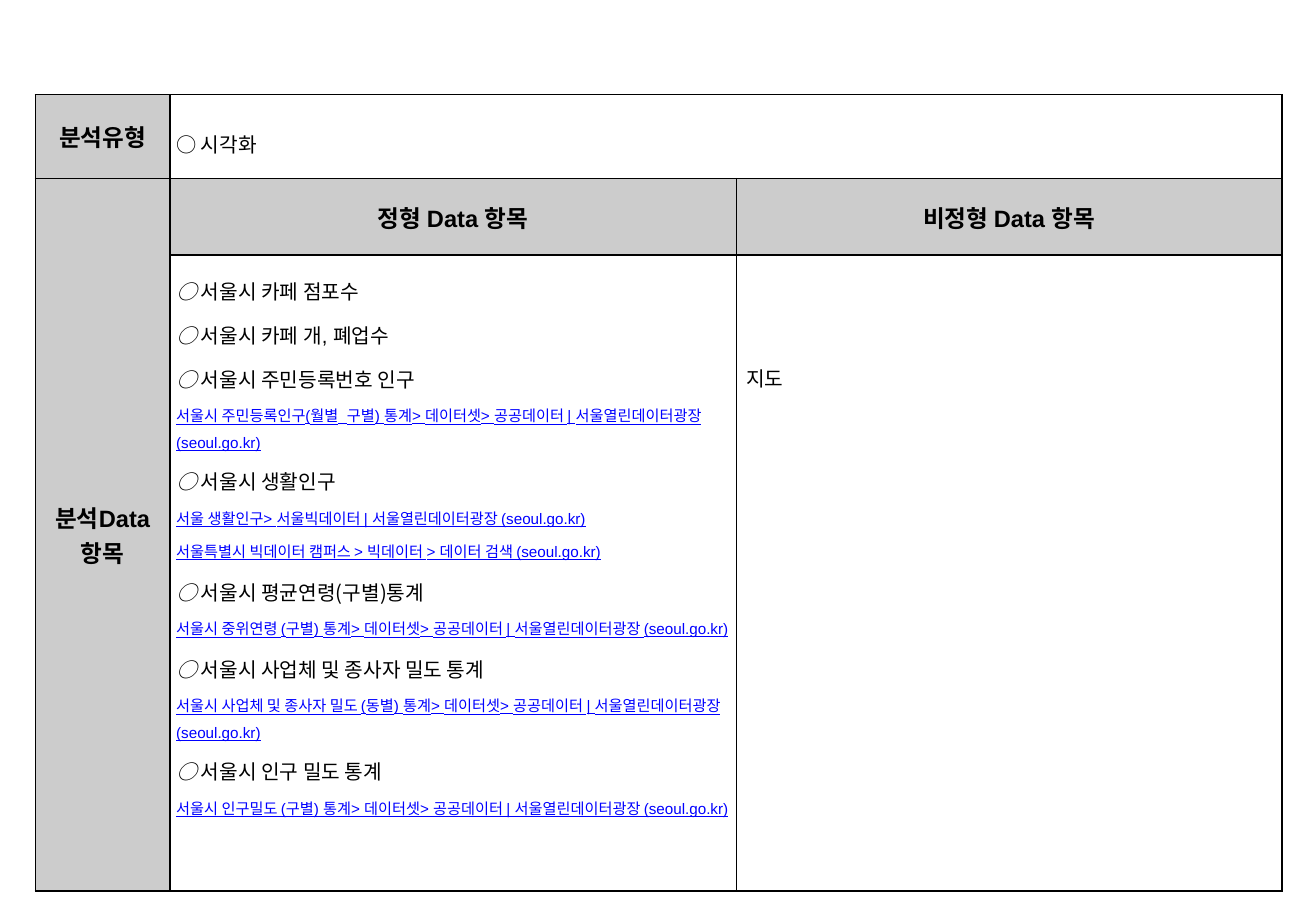
from dataclasses import dataclass

from lxml import etree
from pptx import Presentation, util as u
from pptx.dml.color import RGBColor
from pptx.enum import text as t
from pptx.oxml import ns

HUES = {"ink": "000000", "head": "CCCCCC", "link": "0000FF"}
LATIN, HANGUL = "Arial", "Noto Sans CJK KR"
PAD = 0.05
PORTAL = "통계> 데이터셋> 공공데이터 | 서울열린데이터광장 (seoul.go.kr)"


@dataclass
class Item:
    name: str
    links: tuple[str, ...] = ()
    face: str = LATIN


@dataclass
class Head:
    row: int
    col: int
    lines: tuple[str, ...]


ITEMS = [
    Item("서울시 카페 점포수"),
    Item("서울시 카페 개, 폐업수"),
    Item("서울시 주민등록번호 인구", (f"서울시 주민등록인구(월별_구별) {PORTAL}",)),
    Item("서울시 생활인구", (
        "서울 생활인구> 서울빅데이터 | 서울열린데이터광장 (seoul.go.kr)",
        "서울특별시 빅데이터 캠퍼스 > 빅데이터 > 데이터 검색 (seoul.go.kr)")),
    Item("서울시 평균연령(구별)통계", (f"서울시 중위연령 (구별) {PORTAL}",), HANGUL),
    Item("서울시 사업체 및 종사자 밀도 통계",
         (f"서울시 사업체 및 종사자 밀도 (동별) {PORTAL}",), HANGUL),
    Item("서울시 인구 밀도 통계", (f"서울시 인구밀도 (구별) {PORTAL}",), HANGUL),
]
HEADS = [
    Head(0, 0, ("분석유형",)),
    Head(1, 0, ("분석Data", "항목")),
    Head(1, 1, ("정형 Data 항목",)),
    Head(1, 2, ("비정형 Data 항목",)),
]


def write(par, words: str, size: float = 12, face: str = LATIN, hue: str = "ink",
          bold: bool = False, slant: bool = False, line: bool = False) -> None:
    run = par.add_run()
    run.text = words
    font = run.font
    font.size, font.name = u.Pt(size), face
    font.bold, font.italic, font.underline = bold, slant, line
    font.color.rgb = RGBColor.from_string(HUES[hue])
    east = etree.SubElement(font._element, ns.qn("a:ea"))
    east.set("typeface", HANGUL)


def next_par(cell, space: float = 1.5):
    frame = cell.text_frame
    par = frame.add_paragraph() if frame.paragraphs[0].runs else frame.paragraphs[0]
    par.line_spacing = space
    return par


def border(cell) -> None:
    props = cell._tc.get_or_add_tcPr()
    for spot, side in enumerate(("lnL", "lnR", "lnT", "lnB")):
        edge = etree.Element(ns.qn(f"a:{side}"), w=str(u.Pt(1)))
        fill = etree.SubElement(edge, ns.qn("a:solidFill"))
        etree.SubElement(fill, ns.qn("a:srgbClr"), val=HUES["ink"])
        props.insert(spot, edge)


def draw_head(grid, head: Head) -> None:
    cell = grid.cell(head.row, head.col)
    cell.fill.solid()
    cell.fill.fore_color.rgb = RGBColor.from_string(HUES["head"])
    cell.vertical_anchor = t.MSO_ANCHOR.MIDDLE
    for words in head.lines:
        par = next_par(cell, 1.0)
        par.alignment = t.PP_ALIGN.CENTER
        write(par, words, size=14, bold=True)


def draw_item(cell, item: Item) -> None:
    par = next_par(cell)
    write(par, "○ ", slant=True)
    write(par, item.name, face=item.face)
    for link in item.links:
        write(next_par(cell), link, size=9, hue="link", line=True)


deck = Presentation()
deck.slide_width, deck.slide_height = u.Inches(10.83), u.Inches(7.5)
slide = deck.slides.add_slide(deck.slide_layouts[6])

widths, heights = (1.11, 4.66, 4.49), (0.69, 0.63, 5.23)
grid = slide.shapes.add_table(
    len(heights), len(widths), u.Inches(0.29), u.Inches(0.78),
    u.Inches(sum(widths)), u.Inches(sum(heights))).table
grid.first_row = grid.horz_banding = False
for column, width in zip(grid.columns, widths):
    column.width = u.Inches(width)
for row, height in zip(grid.rows, heights):
    row.height = u.Inches(height)
for cell in grid.iter_cells():
    cell.fill.background()
    cell.margin_left = cell.margin_right = u.Inches(PAD)
    cell.margin_top = cell.margin_bottom = u.Inches(PAD)
    border(cell)

grid.cell(0, 1).merge(grid.cell(0, 2))
grid.cell(1, 0).merge(grid.cell(2, 0))
for head in HEADS:
    draw_head(grid, head)

kind = grid.cell(0, 1)
kind.vertical_anchor = t.MSO_ANCHOR.MIDDLE
write(next_par(kind), "○ 시각화")

for item in ITEMS:
    draw_item(grid.cell(2, 1), item)

free = grid.cell(2, 2)
free.margin_top, free.margin_left = u.Inches(0.77), u.Inches(0.08)
write(next_par(free), "지도")

deck.save("out.pptx")
